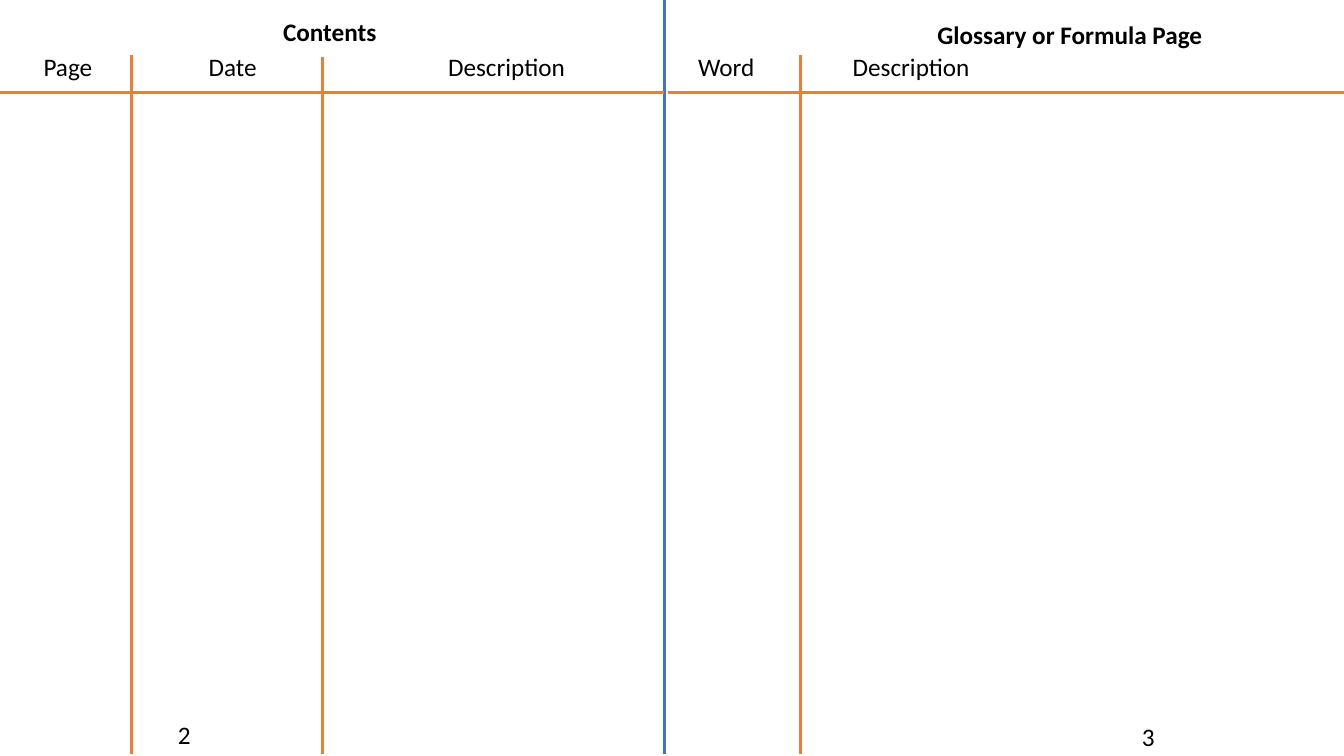
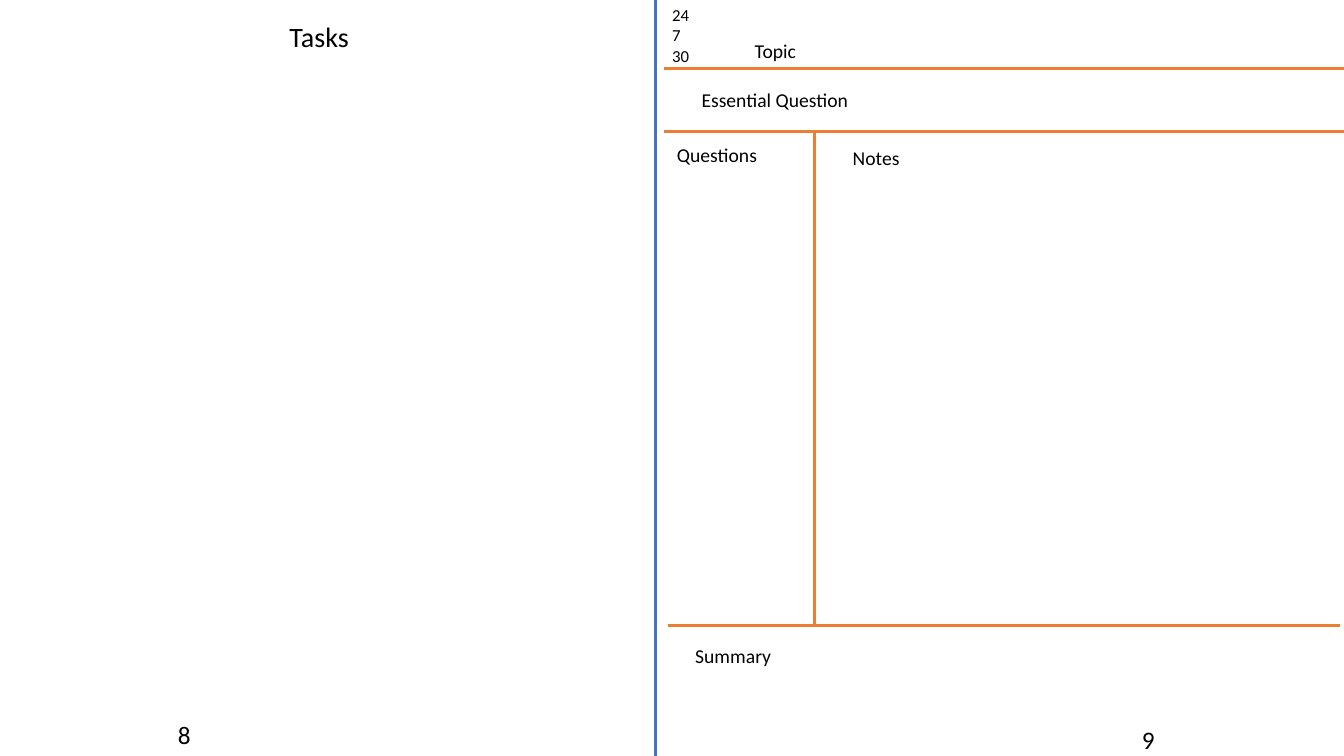
"""Build two notebook spreads: contents with glossary, and tasks with notes."""
from lxml import etree
from pptx import Presentation
from pptx.dml.color import RGBColor
from pptx.enum.shapes import MSO_CONNECTOR
from pptx.enum.text import MSO_ANCHOR, MSO_AUTO_SIZE, PP_ALIGN
from pptx.oxml.ns import qn
from pptx.util import Pt

STRAIGHT = MSO_CONNECTOR.STRAIGHT
TOP = MSO_ANCHOR.TOP
LEFT = PP_ALIGN.LEFT
NO_AUTOFIT = MSO_AUTO_SIZE.NONE

WIDTH, HEIGHT = 960, 540
TITLE_ONLY = 5
FONT = "Calibri"
BLACK, BLUE, ORANGE = "000000", "4472C4", "ED7D31"


def color(value):
    return RGBColor.from_string(value)


def write(frame, text, size=18, bold=False):
    """Fill a text frame, one paragraph for each line of text."""
    frame.text = text
    frame.word_wrap = True
    frame.auto_size = NO_AUTOFIT
    frame.vertical_anchor = TOP
    for paragraph in frame.paragraphs:
        paragraph.alignment = LEFT
        font = paragraph.runs[0].font
        font.name, font.size, font.bold = FONT, Pt(size), bold
        font.color.rgb = color(BLACK)


class Notebook:
    """Holds the presentation, its style and the current slide."""

    def __init__(self):
        self.presentation = Presentation()
        self.presentation.slide_width = Pt(WIDTH)
        self.presentation.slide_height = Pt(HEIGHT)
        self.slide = None

    def spread(self, fold, bottom, left_page, right_page, right_top):
        """Start a slide with its blue fold and two page numbers."""
        layout = self.presentation.slide_layouts[TITLE_ONLY]
        self.slide = self.presentation.slides.add_slide(layout)
        self.rule(fold, 0, fold, bottom, BLUE)
        self.label(left_page, 120, 510, 24)
        self.label(right_page, 808.5, right_top, 43)

    def title(self, text, left, top, width, **style):
        shape = self.slide.shapes.title
        shape.left, shape.top = Pt(left), Pt(top)
        shape.width, shape.height = Pt(width), Pt(32)
        write(shape.text_frame, text, **style)

    def label(self, text, left, top, width, height=26, **style):
        shape = self.slide.shapes.add_textbox(Pt(left), Pt(top), Pt(width), Pt(height))
        write(shape.text_frame, text, **style)

    def rule(self, x1, y1, x2, y2, line_color=ORANGE):
        connector = self.slide.shapes.add_connector(
            STRAIGHT, Pt(x1), Pt(y1), Pt(x2), Pt(y2))
        connector.line.width = Pt(2.25)
        connector.line.color.rgb = color(line_color)
        etree.SubElement(connector._element.spPr, qn("a:effectLst"))


def build_contents(notebook):
    fold, bottom, header = 474.5, 538.5, 66
    notebook.spread(fold, bottom, "2", "3", 511.5)
    notebook.title("Contents", 195, 8, 86, bold=True)
    notebook.label("Glossary or Formula Page", 662.5, 10, 208, bold=True)
    notebook.rule(0, header, fold, header)
    notebook.rule(477.5, header, WIDTH, header)
    for x, top in ((94, 39), (230.5, 40.5), (571.5, 39)):
        notebook.rule(x, top, x, bottom)
    for text, left, width in (("Page", 24, 54), ("Date", 142, 54),
                              ("Description", 313, 110), ("Word", 491.5, 73),
                              ("Description", 602, 121)):
        notebook.label(text, left, 33, width)


def build_notes(notebook):
    left, question_top, notes_top, notes_bottom = 474.5, 49, 94, 447
    notebook.spread(468, HEIGHT, "8", "9", 514)
    notebook.title("Tasks", 199.5, 10, 64, size=20)
    for y in (question_top, notes_top):
        notebook.rule(left, y, WIDTH, y)
    notebook.rule(477, notes_bottom, 957, notes_bottom)
    notebook.rule(582, notes_top, 582, notes_bottom)
    notebook.label("24\n7\n30", 473, 0, 34, 51, size=12)
    for text, x, y, width in (("Topic", 532, 24.5, 50),
                              ("Essential Question", 494, 59, 126),
                              ("Questions", 476.5, 98.5, 78),
                              ("Notes", 602, 101, 107),
                              ("Summary", 489.5, 456.5, 74)):
        notebook.label(text, x, y, width, 24, size=14)


def main():
    notebook = Notebook()
    build_contents(notebook)
    build_notes(notebook)
    notebook.presentation.save("out.pptx")


if __name__ == "__main__":
    main()
